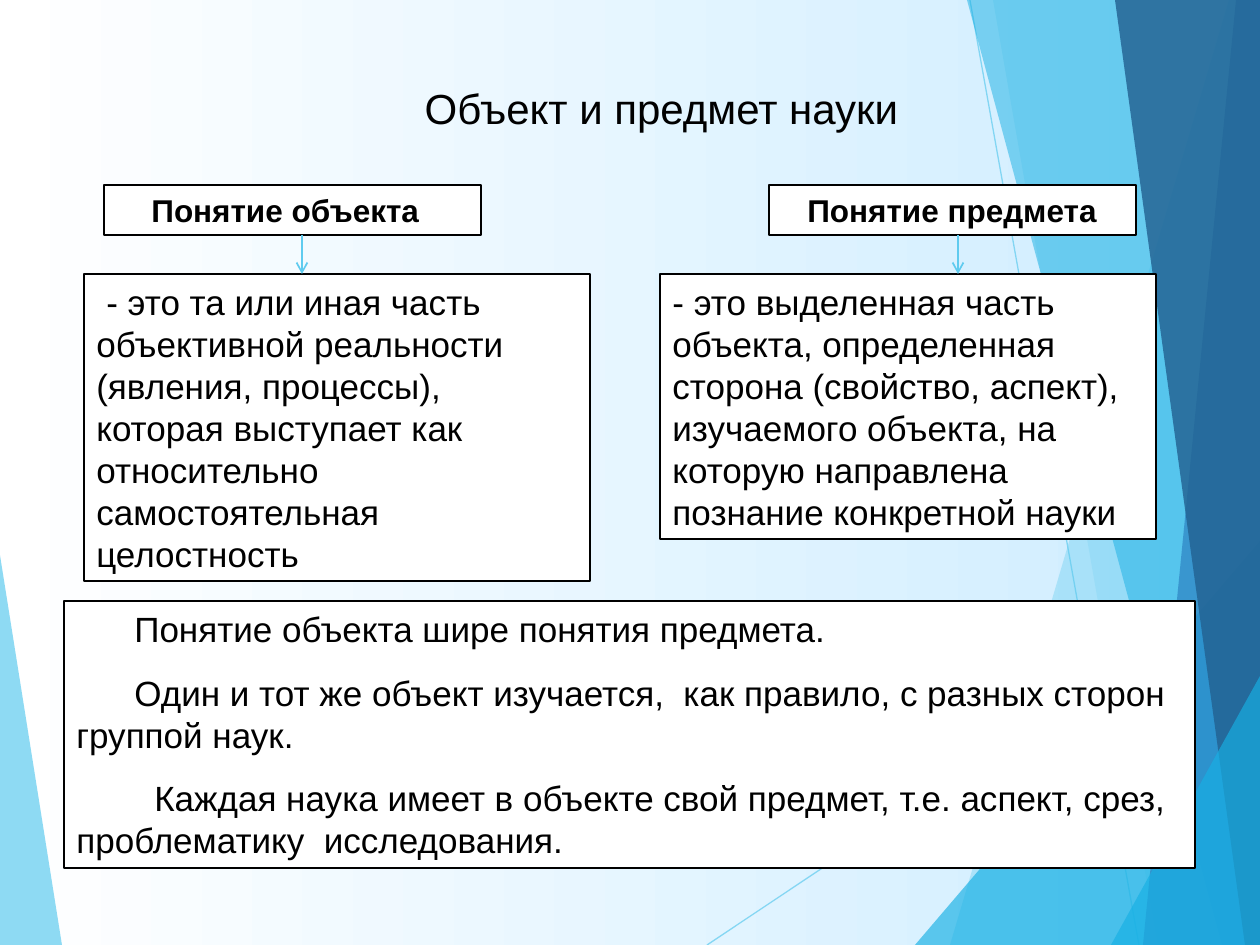
from dataclasses import dataclass

from lxml.etree import SubElement
from pptx import Presentation
from pptx.dml.color import RGBColor as Rgb
from pptx.enum.shapes import MSO_CONNECTOR as Conn, MSO_SHAPE as Kind
from pptx.enum.text import MSO_ANCHOR as Anchor, PP_ALIGN as Align
from pptx.oxml.ns import qn
from pptx.util import Emu, Pt

SCALE = 914400 / 126  # EMU in one px
WIDE, HIGH = 1260, 945


@dataclass(frozen=True)
class Theme:
    font: str = "Arial"
    ink: str = "000000"
    paper: str = "FFFFFF"
    tint: str = "CCECFF"
    sky: str = "5FCBEF"
    cyan: str = "17B0E4"
    blue: str = "2E83C3"
    navy: str = "236292"
    title: int = 24
    head: int = 18
    body: int = 20
    lead: float = 1.2  # line pitch over type size
    gap: float = 0.625  # space before over type size


THEME = Theme()

# Facets of the backdrop, back to front: colour, opacity, corners
LEFT = (THEME.sky, 70, [(0, 555), (62, HIGH), (0, HIGH)])
RIGHT = [
    (THEME.sky, 36, [(1229, 0), (950, HIGH), (WIDE, HIGH), (WIDE, 0)]),
    (THEME.sky, 20, [(993, 0), (1158, HIGH), (WIDE, HIGH), (WIDE, 0)]),
    (THEME.cyan, 66, [(915, HIGH), (WIDE, 541), (WIDE, HIGH)]),
    (THEME.cyan, 50, [(967, 0), (1222, HIGH), (WIDE, HIGH), (WIDE, 0)]),
    (THEME.blue, 70, [(1236, 0), (1143, HIGH), (WIDE, HIGH), (WIDE, 0)]),
    (THEME.navy, 82, [(1115, 0), (1245, HIGH), (WIDE, HIGH), (WIDE, 0)]),
    (THEME.cyan, 66, [(1111, HIGH), (WIDE, 676), (WIDE, HIGH)]),
]
RAYS = [(707, HIGH, WIDE, 576), (970, 0, 1139, HIGH)]

# Text of each box: pairs of first-line indent and wording
NOTES = [
    (58, "Понятие объекта шире понятия предмета."),
    (58, "Один и тот же объект изучается,  как правило, с разных сторон группой наук."),
    (78, "Каждая наука имеет в объекте свой предмет, т.е. аспект, срез, "
         "проблематику  исследования."),
]
THING = [(10, "- это та или иная часть объективной реальности (явления, процессы), "
              "которая выступает как относительно самостоятельная целостность")]
TOPIC = [(0, "- это выделенная часть объекта, определенная сторона (свойство, аспект), "
             "изучаемого объекта, на которую направлена познание конкретной науки")]


def px(num):
    return Emu(round(num * SCALE))


def fade(part, pct):
    """Set the opacity of the colour inside an XML element."""
    tone = next(part.iter(qn("a:srgbClr")))
    SubElement(tone, qn("a:alpha")).set("val", str(pct * 1000))


def back(slide):
    fill = slide.background.fill
    fill.gradient()
    fill.gradient_angle = 0
    for stop, tone in zip(fill.gradient_stops, (THEME.paper, THEME.tint)):
        stop.color.rgb = Rgb.from_string(tone)


def facet(slide, tone, pct, dots):
    pen = slide.shapes.build_freeform(*dots[0], scale=SCALE)
    pen.add_line_segments(dots[1:], close=True)
    shape = pen.convert_to_shape()
    shape.shadow.inherit = False
    shape.fill.solid()
    shape.fill.fore_color.rgb = Rgb.from_string(tone)
    fade(shape.fill._xPr.find(qn("a:solidFill")), pct)
    shape.line.fill.background()


def line(slide, ends, width, pct=100, arrow=False):
    rule = slide.shapes.add_connector(Conn.STRAIGHT, *map(px, ends))
    rule.line.color.rgb = Rgb.from_string(THEME.sky)
    rule.line.width = Pt(width)
    edge = rule.line._get_or_add_ln()
    if pct < 100:
        fade(edge, pct)
    if arrow:
        SubElement(edge, qn("a:tailEnd")).set("type", "arrow")
    SubElement(rule._element.spPr, qn("a:effectLst"))


def write(shape, paras, size, bold=False, align=Align.LEFT, inset=0):
    frame = shape.text_frame
    frame.word_wrap = True
    frame.vertical_anchor = Anchor.TOP
    for num, (lead, words) in enumerate(paras):
        para = frame.add_paragraph() if num else frame.paragraphs[0]
        para.alignment = align
        para.space_before = Pt(size * THEME.gap)
        para.line_spacing = Pt(size * THEME.lead)
        props = para._p.get_or_add_pPr()
        props.set("marL", str(px(inset)))
        props.set("indent", str(px(lead)))
        run = para.add_run()
        run.text = words
        font = run.font
        font.name, font.size, font.bold = THEME.font, Pt(size), bold
        font.color.rgb = Rgb.from_string(THEME.ink)


def box(slide, area, paras, size, **style):
    shape = slide.shapes.add_shape(Kind.RECTANGLE, *map(px, area))
    shape.shadow.inherit = False
    shape.fill.solid()
    shape.fill.fore_color.rgb = Rgb.from_string(THEME.paper)
    shape.line.color.rgb = Rgb.from_string(THEME.ink)
    shape.line.width = Pt(1.25)
    write(shape, paras, size, **style)


def main():
    deck = Presentation()
    deck.slide_width, deck.slide_height = px(WIDE), px(HIGH)
    slide = deck.slides.add_slide(deck.slide_layouts[6])

    # Backdrop
    back(slide)
    facet(slide, *LEFT)
    for ends in RAYS:
        line(slide, ends, 0.75, pct=70)
    for part in RIGHT:
        facet(slide, *part)

    # Title
    title = slide.shapes.add_textbox(*map(px, (64, 76, 1132, 63)))
    write(title, [(0, "Объект и предмет науки")], THEME.title,
          align=Align.CENTER, inset=63)

    # Definitions and conclusions
    box(slide, (84, 274, 506, 307), THING, THEME.body)
    box(slide, (660, 274, 496, 265), TOPIC, THEME.body)
    box(slide, (64, 601, 1131, 267), NOTES, THEME.body)

    # Headings
    box(slide, (104, 185, 377, 50), [(35, "Понятие объекта")], THEME.head, bold=True)
    box(slide, (769, 185, 367, 50), [(26, "Понятие предмета")], THEME.head, bold=True)

    # Arrows from heading to definition
    for mid in (302, 958):
        line(slide, (mid, 235, mid, 274), 1, arrow=True)

    deck.save("out.pptx")


if __name__ == "__main__":
    main()
